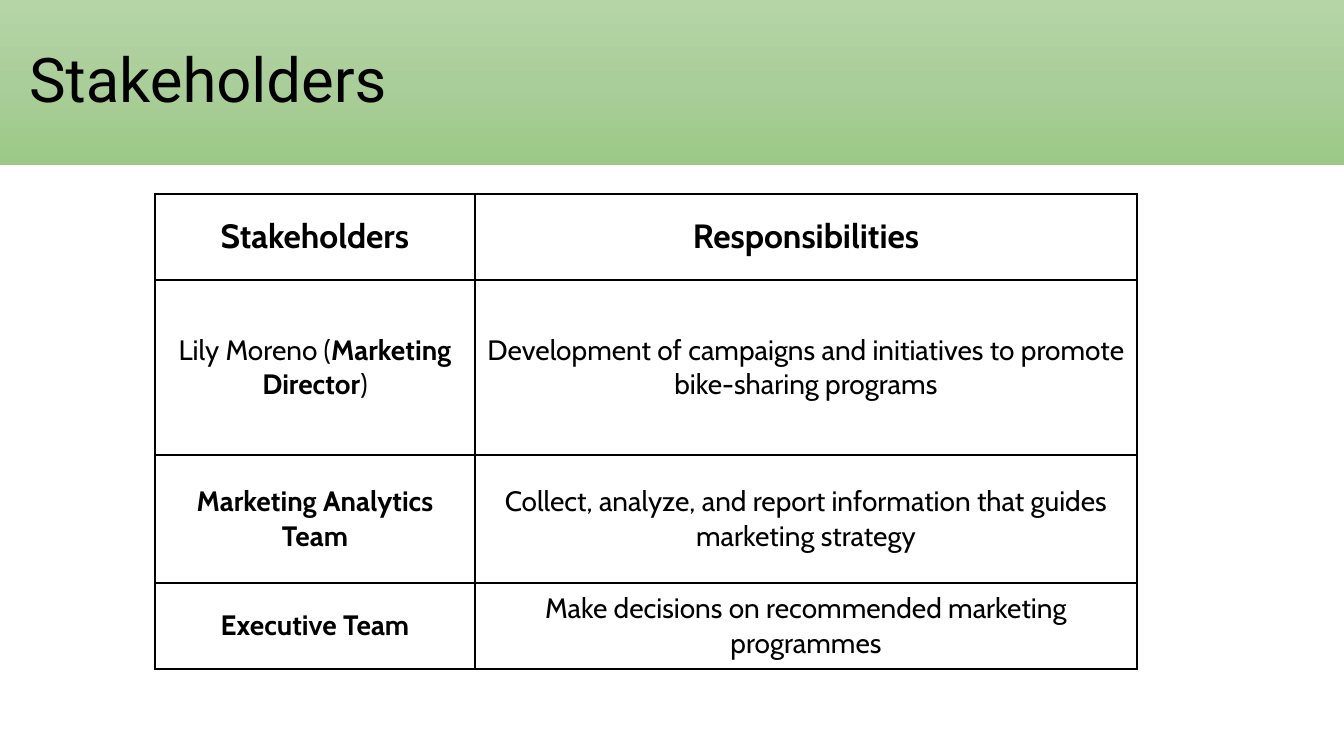
"""Build the Stakeholders slide: a gradient title band above a table of responsibilities."""
from copy import deepcopy

from lxml.etree import SubElement
from pptx import Presentation
from pptx.dml.color import RGBColor
from pptx.enum.shapes import MSO_SHAPE
from pptx.enum.text import MSO_ANCHOR, MSO_AUTO_SIZE, PP_ALIGN
from pptx.oxml.ns import qn
from pptx.util import Pt

EMU_PER_PX = 914400 / 100.8
BLACK = "000000"


def px(length):
    return round(length * EMU_PER_PX)


def color(hex_value):
    return RGBColor.from_string(hex_value)


prs = Presentation()
prs.slide_width, prs.slide_height = px(1344), px(756)
slide = prs.slides.add_slide(prs.slide_layouts[5])

band = slide.shapes.add_shape(MSO_SHAPE.RECTANGLE, 0, 0, px(1344), px(165))
band.shadow.inherit = False
band.line.fill.background()
band.fill.gradient()
band.fill.gradient_angle = 270
stop_list = band._element.spPr.find(qn("a:gradFill")).find(qn("a:gsLst"))
stop_list.insert(1, deepcopy(stop_list[0]))
band_stops = [(0, "B5D5A7"), (0.5, "AACE9A"), (1, "9CC987")]
for stop, (position, shade) in zip(band.fill.gradient_stops, band_stops):
    stop.position = position
    stop.color.rgb = color(shade)
slide.shapes._spTree.insert(2, band._element)

heading = slide.shapes.title
heading_box = {"left": 19, "top": 29, "width": 652, "height": 107}
for side, length in heading_box.items():
    setattr(heading, side, px(length))
heading.text_frame.text = "Stakeholders"
heading_frame = {"auto_size": MSO_AUTO_SIZE.NONE, "word_wrap": True,
                 "vertical_anchor": MSO_ANCHOR.MIDDLE}
for name, value in heading_frame.items():
    setattr(heading.text_frame, name, value)
heading_line = heading.text_frame.paragraphs[0]
heading_line.alignment = PP_ALIGN.LEFT
heading_line.line_spacing = 0.9
heading_font = heading_line.runs[0].font
for name, value in {"name": "Roboto", "size": Pt(44), "bold": False}.items():
    setattr(heading_font, name, value)
heading_font.color.rgb = color(BLACK)

column_widths = [320, 662]
row_heights = [86, 175, 128, 86]
duties = [
    [[("Stakeholders", True)], [("Responsibilities", True)]],
    [[("Lily Moreno (", False), ("Marketing Director", True), (")", False)],
     [("Development of campaigns and initiatives to promote bike-sharing programs", False)]],
    [[("Marketing Analytics Team", True)],
     [("Collect, analyze, and report information that guides marketing strategy", False)]],
    [[("Executive Team", True)],
     [("Make decisions on recommended marketing programmes", False)]],
]
duty_table = slide.shapes.add_table(
    len(row_heights), len(column_widths), px(155), px(194),
    px(sum(column_widths)), px(sum(row_heights))).table
for column, width in zip(duty_table.columns, column_widths):
    column.width = px(width)
for row, height in zip(duty_table.rows, row_heights):
    row.height = px(height)

for row_index, duty_row in enumerate(duties):
    for column_index, pieces in enumerate(duty_row):
        cell = duty_table.cell(row_index, column_index)
        cell.vertical_anchor = MSO_ANCHOR.MIDDLE
        cell_line = cell.text_frame.paragraphs[0]
        cell_line.alignment = PP_ALIGN.CENTER
        for wording, is_bold in pieces:
            run = cell_line.add_run()
            run.text = wording
            run_format = {"name": "Cabin", "size": Pt(20 if row_index else 24), "bold": is_bold}
            for name, value in run_format.items():
                setattr(run.font, name, value)
            run.font.color.rgb = color(BLACK)
        cell_properties = cell._tc.get_or_add_tcPr()
        for edge in ("a:lnL", "a:lnR", "a:lnT", "a:lnB"):
            border = SubElement(cell_properties, qn(edge), w=str(Pt(1)))
            border_fill = SubElement(border, qn("a:solidFill"))
            SubElement(border_fill, qn("a:srgbClr"), val=BLACK)
        cell.fill.background()

prs.save("out.pptx")
